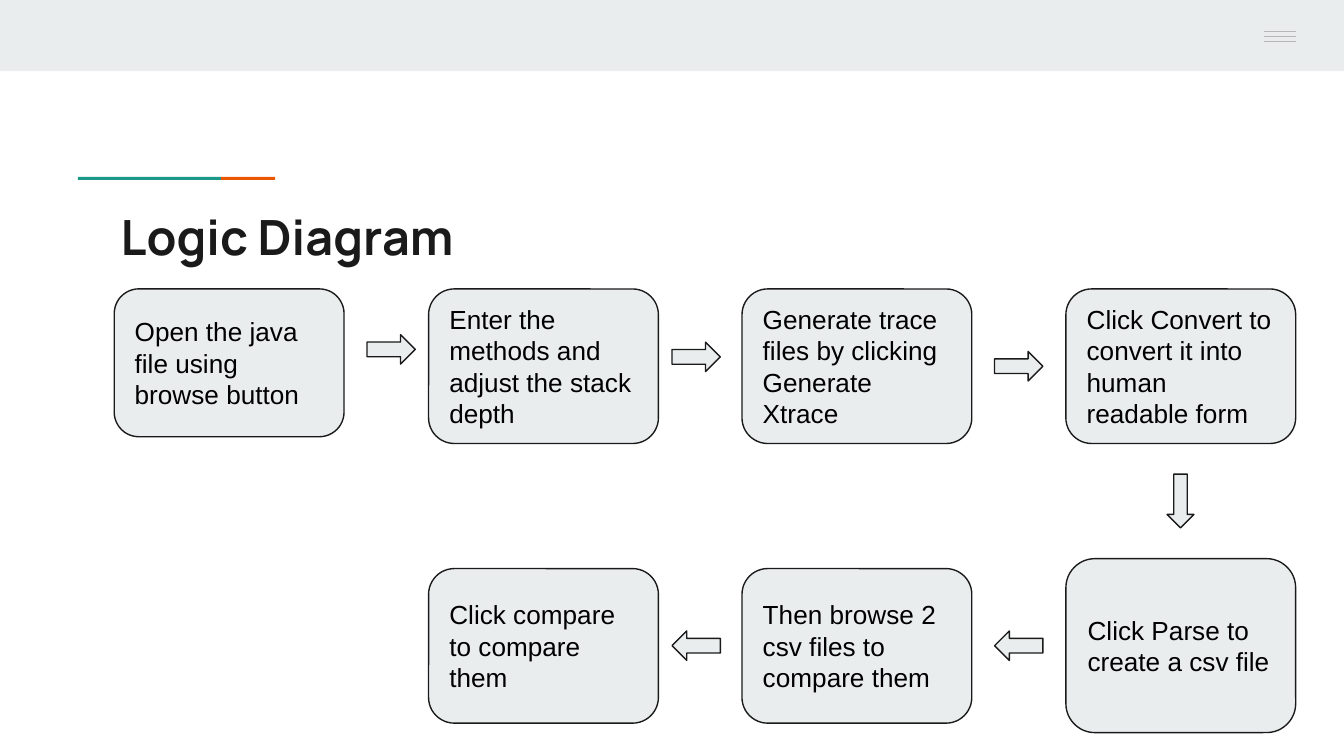
"""Build the logic diagram slide: seven steps joined by block arrows."""
from typing import NamedTuple

import pptx
import pptx.dml.color
import pptx.enum.shapes
import pptx.enum.text
import pptx.util
from pptx.oxml.ns import qn

Pt = pptx.util.Pt
SHAPES = pptx.enum.shapes.MSO_SHAPE
COLOURS = {
    "panel": "E9EDEE",
    "ink": "1A1A1A",
    "text": "000000",
    "teal": "1A9988",
    "orange": "EB5600",
    "menu": "B7B7B7",
}
COLUMNS = (61.2, 229.6, 397.5, 571)
ARROW_LEFTS = (196.6, 360, 532.8)
STEP_WIDTH, STEP_HEIGHT = 123.1, 82.8
TOP_ROW, BOTTOM_ROW = 154.8, 304.6


class Step(NamedTuple):
    text: str
    column: int
    top: float
    height: float = STEP_HEIGHT


class Arrow(NamedTuple):
    left: float
    top: float
    rotation: int = 0
    width: float = 25.9
    height: float = 15.8


STEPS = (
    Step("Open the java file using browse button", 0, TOP_ROW, 79.2),
    Step("Enter the methods and adjust the stack depth", 1, TOP_ROW),
    Step("Generate trace files by clicking Generate Xtrace", 2, TOP_ROW),
    Step("Click Convert to convert it into human readable form", 3, TOP_ROW),
    Step("Click Parse to create a csv file", 3, 299.3, 93.2),
    Step("Then browse 2 csv files to compare them", 2, BOTTOM_ROW),
    Step("Click compare to compare them", 1, BOTTOM_ROW),
)
ARROWS = (
    Arrow(ARROW_LEFTS[0], 179.3),
    Arrow(ARROW_LEFTS[1], 183.3),
    Arrow(ARROW_LEFTS[2], 188.3),
    Arrow(618, 261.2, 90, 28.8, 14.4),
    Arrow(ARROW_LEFTS[2], 338, 180),
    Arrow(ARROW_LEFTS[1], 338, 180),
)


def rgb(name: str) -> pptx.dml.color.RGBColor:
    """Return a named colour."""
    return pptx.dml.color.RGBColor.from_string(COLOURS[name])


def add_block(slide, kind, left: float, top: float, width: float, height: float,
              fill: str, outline: str | None = None):
    """Add a flat filled shape with an optional thin outline."""
    shape = slide.shapes.add_shape(kind, Pt(left), Pt(top), Pt(width), Pt(height))
    shape.shadow.inherit = False
    shape.fill.solid()
    shape.fill.fore_color.rgb = rgb(fill)
    if outline:
        shape.line.color.rgb = rgb(outline)
        shape.line.width = Pt(0.75)
    else:
        shape.line.fill.background()
    return shape


def write_text(shape, text: str, font_name: str, size: float, colour: str,
               anchor, bold: bool = False) -> None:
    """Write one left-aligned paragraph into a shape."""
    frame = shape.text_frame
    frame.word_wrap = True
    frame.vertical_anchor = anchor
    frame.margin_left = frame.margin_right = Pt(7.2)
    frame.margin_top = frame.margin_bottom = Pt(7.2)
    paragraph = frame.paragraphs[0]
    paragraph.text = text
    paragraph.alignment = pptx.enum.text.PP_ALIGN.LEFT
    paragraph.font.name = font_name
    paragraph.font.size = Pt(size)
    paragraph.font.bold = bold
    paragraph.font.color.rgb = rgb(colour)


def add_menu_line(slide, top: float) -> None:
    """Add one bar of the menu icon."""
    line = slide.shapes.add_connector(
        pptx.enum.shapes.MSO_CONNECTOR.STRAIGHT, Pt(677), Pt(top), Pt(694.3), Pt(top))
    line.line.color.rgb = rgb("menu")
    line.line.width = Pt(0.75)
    properties = line._element.spPr
    properties.append(properties.makeelement(qn("a:effectLst"), {}))


def add_step(slide, step: Step) -> None:
    """Add one rounded step box."""
    shape = add_block(slide, SHAPES.ROUNDED_RECTANGLE, COLUMNS[step.column], step.top,
                      STEP_WIDTH, step.height, "panel", "ink")
    write_text(shape, step.text, "Arial", 14, "text", pptx.enum.text.MSO_ANCHOR.MIDDLE)


def add_arrow(slide, arrow: Arrow) -> None:
    """Add one block arrow."""
    shape = add_block(slide, SHAPES.RIGHT_ARROW, arrow.left, arrow.top,
                      arrow.width, arrow.height, "panel", "ink")
    shape.rotation = arrow.rotation


def main() -> None:
    """Build and save the presentation."""
    presentation = pptx.Presentation()
    presentation.slide_width, presentation.slide_height = Pt(720), Pt(405)
    slide = presentation.slides.add_slide(presentation.slide_layouts[6])

    add_block(slide, SHAPES.RECTANGLE, 0, 0, 720, 38.2, "panel")
    add_block(slide, SHAPES.RECTANGLE, 118.4, 94.8, 29, 1.6, "orange")
    add_block(slide, SHAPES.RECTANGLE, 41.8, 94.8, 76.6, 1.6, "teal")
    for index in range(3):
        add_menu_line(slide, 17 + 2.6 * index)

    title = slide.shapes.add_textbox(Pt(57.6), Pt(103.7), Pt(605.5), Pt(42.5))
    write_text(title, "Logic Diagram", "Manrope", 26, "ink",
               pptx.enum.text.MSO_ANCHOR.TOP, bold=True)
    for step in STEPS:
        add_step(slide, step)
    for arrow in ARROWS:
        add_arrow(slide, arrow)
    presentation.save("out.pptx")


if __name__ == "__main__":
    main()
